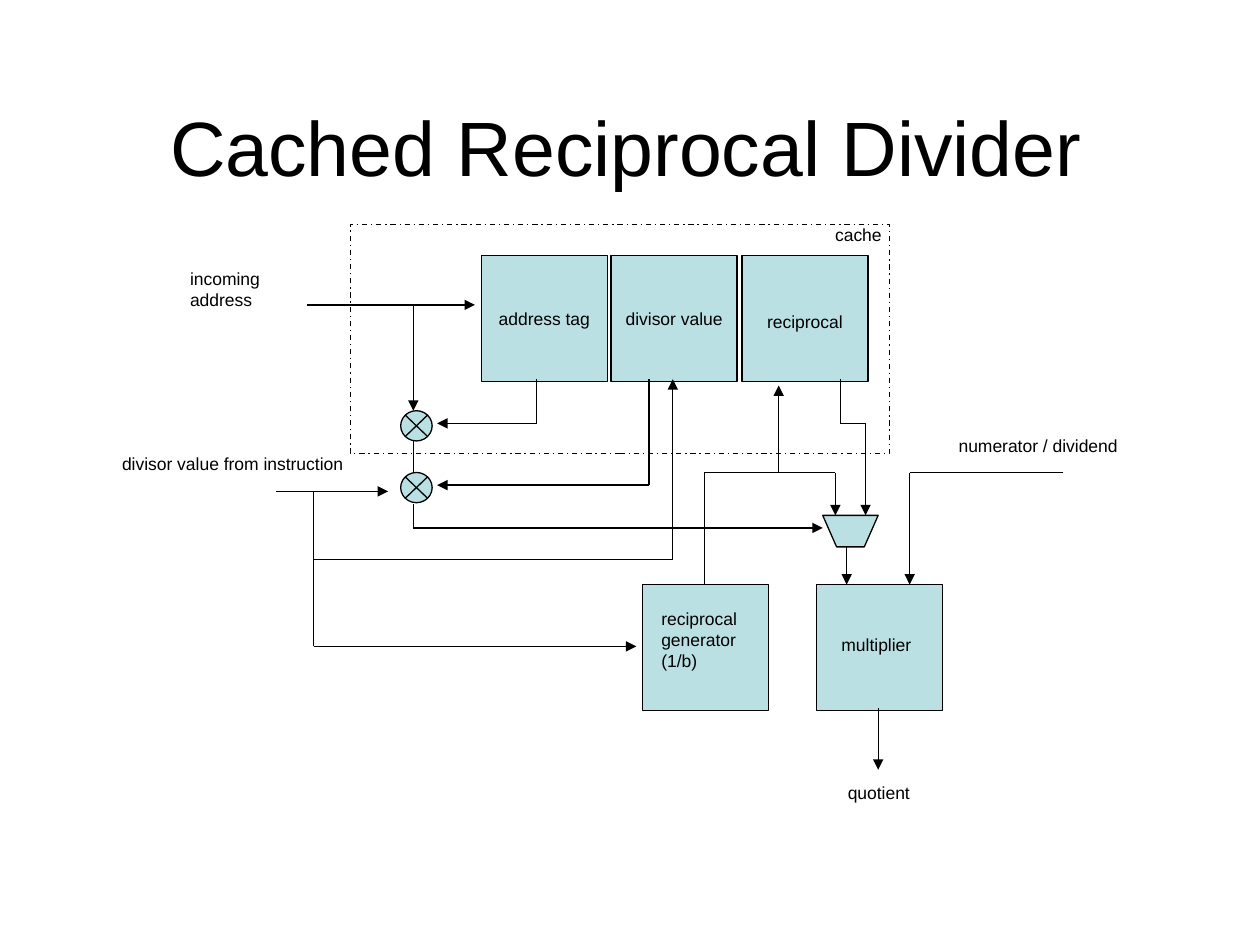
from dataclasses import dataclass
from itertools import pairwise

from lxml import etree
from pptx import Presentation
from pptx.dml.color import RGBColor
from pptx.enum import dml, shapes, text
from pptx.oxml.ns import qn
from pptx.util import Inches, Pt


@dataclass
class Theme:
    font: str = "Arial"
    ink: RGBColor = RGBColor(0, 0, 0)
    fill: RGBColor = RGBColor(0xBB, 0xE0, 0xE3)
    head: Pt = Pt(44)
    body: Pt = Pt(10)
    rule: Pt = Pt(0.75)


class Sketch:
    def __init__(self, slide, theme):
        self.slide = slide
        self.theme = theme

    def letter(self, frame, words, size, align):
        frame.text = words
        frame.margin_left = frame.margin_right = Inches(0.1)
        frame.margin_top = frame.margin_bottom = Inches(0.05)
        para = frame.paragraphs[0]
        para.alignment = align
        para.font.name = self.theme.font
        para.font.size = size
        para.font.color.rgb = self.theme.ink

    def title(self, words, *box):
        shape = self.slide.shapes.title
        shape.left, shape.top, shape.width, shape.height = map(Inches, box)
        self.letter(shape.text_frame, words, self.theme.head, text.PP_ALIGN.CENTER)
        shape.text_frame.vertical_anchor = text.MSO_ANCHOR.MIDDLE

    def ink(self, shape):
        shape.line.color.rgb = self.theme.ink
        shape.line.width = self.theme.rule

    def paint(self, shape):
        shape.shadow.inherit = False
        shape.fill.solid()
        shape.fill.fore_color.rgb = self.theme.fill
        self.ink(shape)

    def block(self, kind, *box, words=""):
        shape = self.slide.shapes.add_shape(kind, *map(Inches, box))
        self.paint(shape)
        if words:
            frame = shape.text_frame
            self.letter(frame, words, self.theme.body, text.PP_ALIGN.CENTER)
            frame.vertical_anchor = text.MSO_ANCHOR.MIDDLE
            frame.word_wrap = False
        return shape

    def frame(self, *box):
        shape = self.block(shapes.MSO_SHAPE.RECTANGLE, *box)
        shape.fill.background()
        shape.line.dash_style = dml.MSO_LINE.DASH_DOT

    def outline(self, points):
        start, *rest = [(Inches(x), Inches(y)) for x, y in points]
        form = self.slide.shapes.build_freeform(*start)
        form.add_line_segments(rest, close=True)
        self.paint(form.convert_to_shape())

    def label(self, words, *box, wrap=False):
        frame = self.slide.shapes.add_textbox(*map(Inches, box)).text_frame
        self.letter(frame, words, self.theme.body, text.PP_ALIGN.LEFT)
        frame.word_wrap = wrap
        frame.auto_size = text.MSO_AUTO_SIZE.SHAPE_TO_FIT_TEXT

    def wire(self, *points, arrow=True):
        """Join the points with straight lines; the last may end in an arrow."""
        for start, end in pairwise(points):
            line = self.slide.shapes.add_connector(
                shapes.MSO_CONNECTOR.STRAIGHT, *map(Inches, start + end))
            self.ink(line)
            props = line.element.spPr
            if arrow and end == points[-1]:
                etree.SubElement(props.find(qn("a:ln")), qn("a:tailEnd"),
                                 type="triangle")
            etree.SubElement(props, qn("a:effectLst"))


def main():
    deck = Presentation()
    deck.slide_width, deck.slide_height = Inches(10), Inches(7.5)
    draw = Sketch(deck.slides.add_slide(deck.slide_layouts[5]), Theme())
    rect = shapes.MSO_SHAPE.RECTANGLE

    draw.title("Cached Reciprocal Divider", 0.72, 0.35, 8.5, 1.61)

    # Cache fields, reciprocal generator and multiplier
    for left, top, words in [(3.82, 2.03, "address tag"),
                             (4.85, 2.03, "divisor value"),
                             (5.89, 2.03, ""), (5.1, 4.64, ""), (6.48, 4.64, "")]:
        draw.block(rect, left, top, 1, 1, words=words)

    # Comparators and selector
    for top in (3.26, 3.75):
        draw.block(shapes.MSO_SHAPE.FLOWCHART_SUMMING_JUNCTION, 3.18, top, 0.25, 0.24)
    draw.outline([(6.53, 4.09), (6.64, 4.34), (6.86, 4.34), (6.97, 4.09)])

    # Address and tag match
    draw.wire((2.44, 2.42), (3.77, 2.42))
    draw.wire((3.28, 2.42), (3.28, 3.26))
    draw.wire((4.26, 3.01), (4.26, 3.36), (3.47, 3.36))
    draw.wire((3.28, 3.5), (3.28, 3.75), arrow=False)
    draw.wire((3.28, 4), (3.28, 4.19), (6.53, 4.19))

    # Divisor
    draw.wire((5.15, 3.01), (5.15, 3.85), (3.47, 3.85))
    draw.wire((2.19, 3.9), (3.08, 3.9))
    draw.wire((2.49, 3.9), (2.49, 5.13), (5.05, 5.13))
    draw.wire((2.49, 4.44), (5.34, 4.44), (5.34, 3.01))

    # Reciprocal, product and quotient
    draw.wire((6.67, 3.01), (6.67, 3.36), (6.87, 3.36), (6.87, 4.09))
    draw.wire((5.59, 4.64), (5.59, 3.75), (6.63, 3.75), (6.63, 4.09))
    draw.wire((6.18, 3.75), (6.18, 3.06))
    draw.wire((6.72, 4.34), (6.72, 4.64))
    draw.wire((8.44, 3.75), (7.22, 3.75), (7.22, 4.64))
    draw.wire((6.97, 5.62), (6.97, 6.11))

    draw.frame(2.78, 1.78, 4.28, 1.82)

    for words, left, top, width in [
            ("reciprocal", 5.99, 2.42, 0.8),
            ("multiplier", 6.58, 4.98, 0.75),
            ("incoming address", 1.41, 2.08, 1.28),
            ("divisor value from instruction", 0.87, 3.55, 1.95),
            ("numerator / dividend", 7.51, 3.4, 1.46),
            ("quotient", 6.63, 6.16, 0.69),
            ("cache", 6.53, 1.73, 0.57)]:
        draw.label(words, left, top, width, 0.27)
    draw.label("reciprocal generator (1/b)", 5.15, 4.78, 0.89, 0.6, wrap=True)

    deck.save("out.pptx")


if __name__ == "__main__":
    main()
